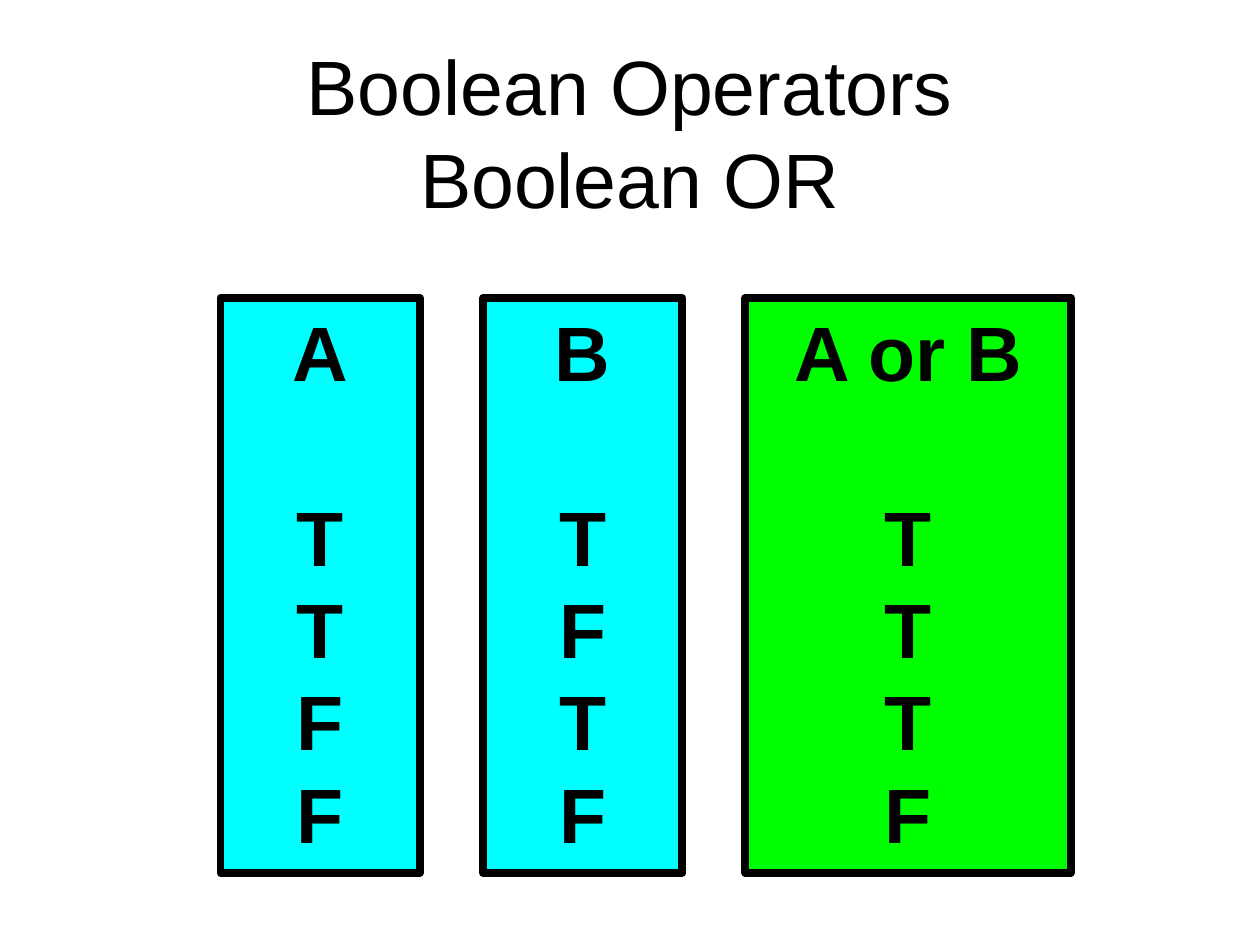
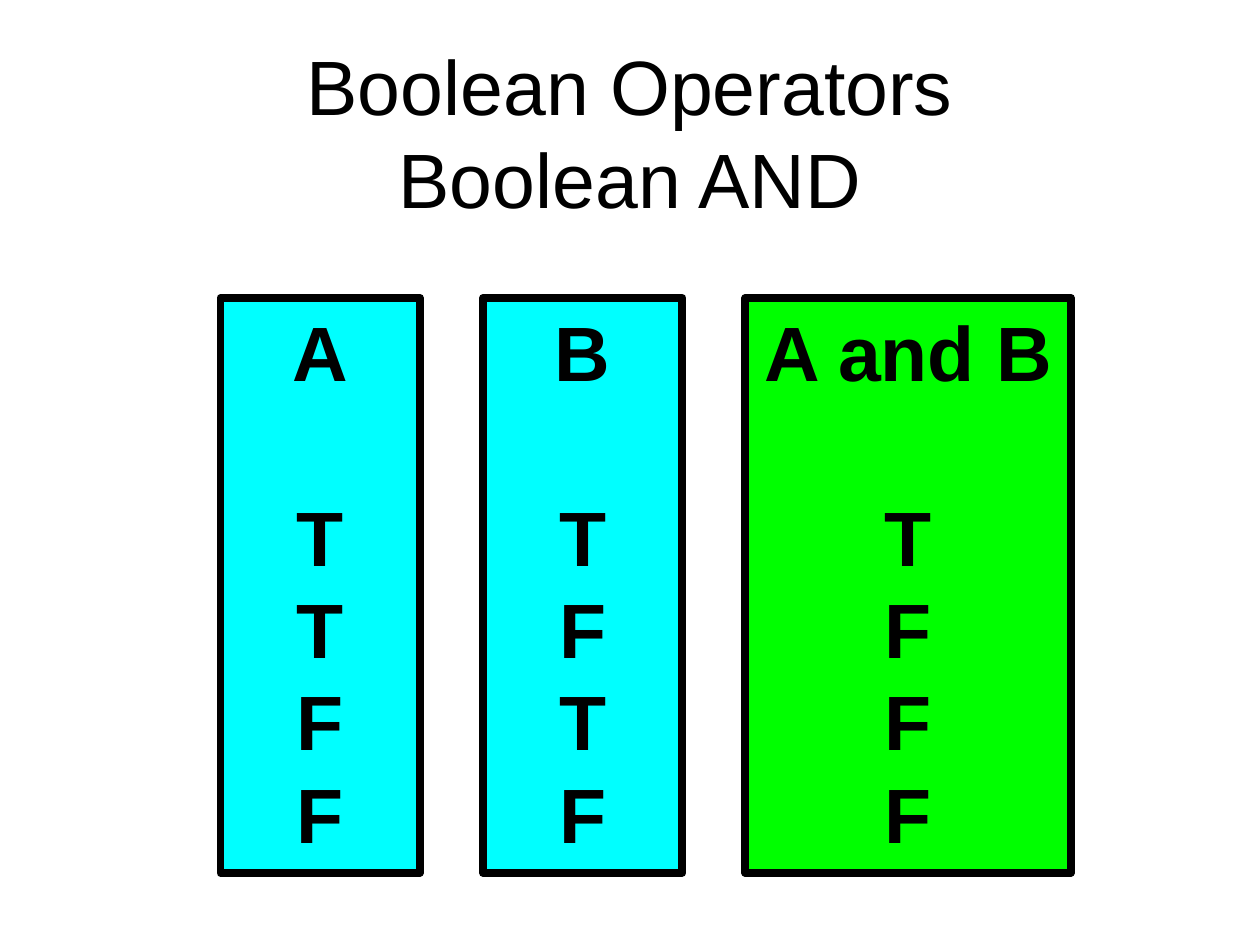
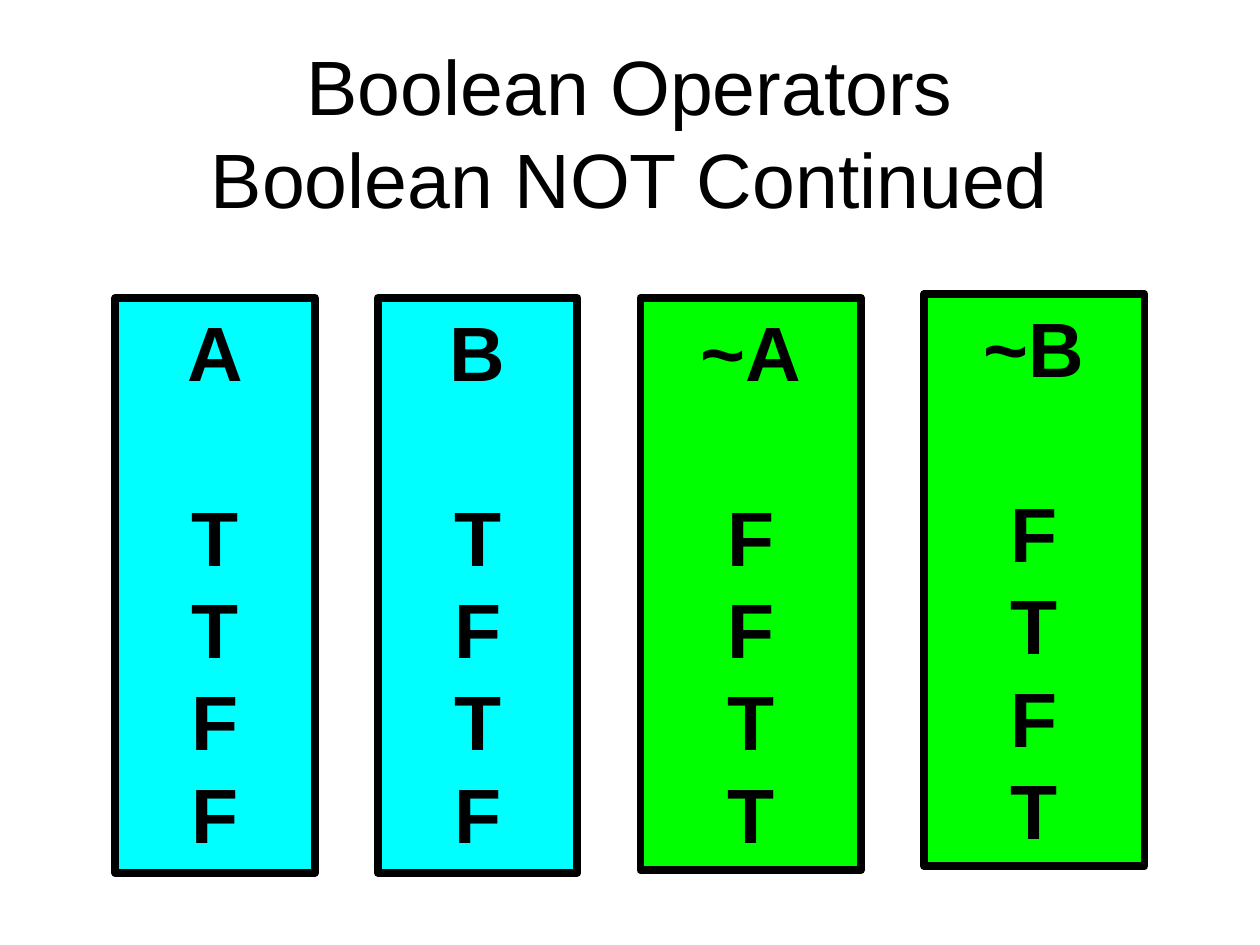
from pptx import Presentation
from pptx.dml.color import RGBColor
from pptx.enum.shapes import MSO_SHAPE
from pptx.enum.text import MSO_ANCHOR, MSO_AUTO_SIZE, PP_ALIGN
from pptx.util import Emu, Pt

PX = 9525
FONT = "Arial"
TEXT_SIZE = 44
BLACK = "000000"
INPUT_FILL = "00FFFF"
RESULT_FILL = "00FF00"
COLUMN_TOP = 227
COLUMN_HEIGHT = 438
COLUMN_GAP = 48
INPUT_WIDTH = 152
HEADING_GAP = 53

INPUTS = [
    ("A", "TTFF", INPUT_WIDTH, INPUT_FILL),
    ("B", "TFTF", INPUT_WIDTH, INPUT_FILL),
]


def px(length):
    return Emu(length * PX)


def color(value):
    return RGBColor.from_string(value)


def style_text(text_frame, bold):
    for paragraph in text_frame.paragraphs:
        paragraph.alignment = PP_ALIGN.CENTER
        for span in paragraph.runs:
            span.font.name = FONT
            span.font.size = Pt(TEXT_SIZE)
            span.font.bold = bold
            span.font.color.rgb = color(BLACK)


def add_title(page, operator):
    box = page.shapes.add_textbox(px(72), px(40), px(816), px(120))
    text_frame = box.text_frame
    text_frame.word_wrap = True
    text_frame.vertical_anchor = MSO_ANCHOR.MIDDLE
    text_frame.paragraphs[0].text = f"Boolean Operators\vBoolean {operator}"
    style_text(text_frame, False)


def add_truth_column(page, left, top, width, height, heading, values, fill):
    box = page.shapes.add_shape(
        MSO_SHAPE.RECTANGLE, px(left), px(top), px(width), px(height)
    )
    box.shadow.inherit = False
    box.fill.solid()
    box.fill.fore_color.rgb = color(fill)
    box.line.color.rgb = color(BLACK)
    box.line.width = Pt(4.5)
    text_frame = box.text_frame
    text_frame.word_wrap = True
    text_frame.auto_size = MSO_AUTO_SIZE.SHAPE_TO_FIT_TEXT
    text_frame.vertical_anchor = MSO_ANCHOR.TOP
    text_frame.text = "\n".join([heading, *values])
    style_text(text_frame, True)
    text_frame.paragraphs[1].space_before = Pt(HEADING_GAP)


def add_truth_slide(deck, operator, left, results):
    page = deck.slides.add_slide(deck.slide_layouts[6])
    add_title(page, operator)
    for heading, values, width, fill in INPUTS:
        add_truth_column(
            page, left, COLUMN_TOP, width, COLUMN_HEIGHT, heading, values, fill
        )
        left += width + COLUMN_GAP
    for heading, values, width, top, height in results:
        add_truth_column(
            page, left, top, width, height, heading, values, RESULT_FILL
        )
        left += width + COLUMN_GAP


def main():
    deck = Presentation()
    deck.slide_width = px(960)
    deck.slide_height = px(720)
    add_truth_slide(
        deck, "OR", 168, [("A or B", "TTTF", 248, COLUMN_TOP, COLUMN_HEIGHT)]
    )
    add_truth_slide(
        deck, "AND", 168, [("A and B", "TFFF", 248, COLUMN_TOP, COLUMN_HEIGHT)]
    )
    add_truth_slide(
        deck,
        "NOT Continued",
        88,
        [("~A", "FFTT", 168, COLUMN_TOP, 436), ("~B", "FTFT", 168, 224, 436)],
    )
    deck.save("out.pptx")


if __name__ == "__main__":
    main()
